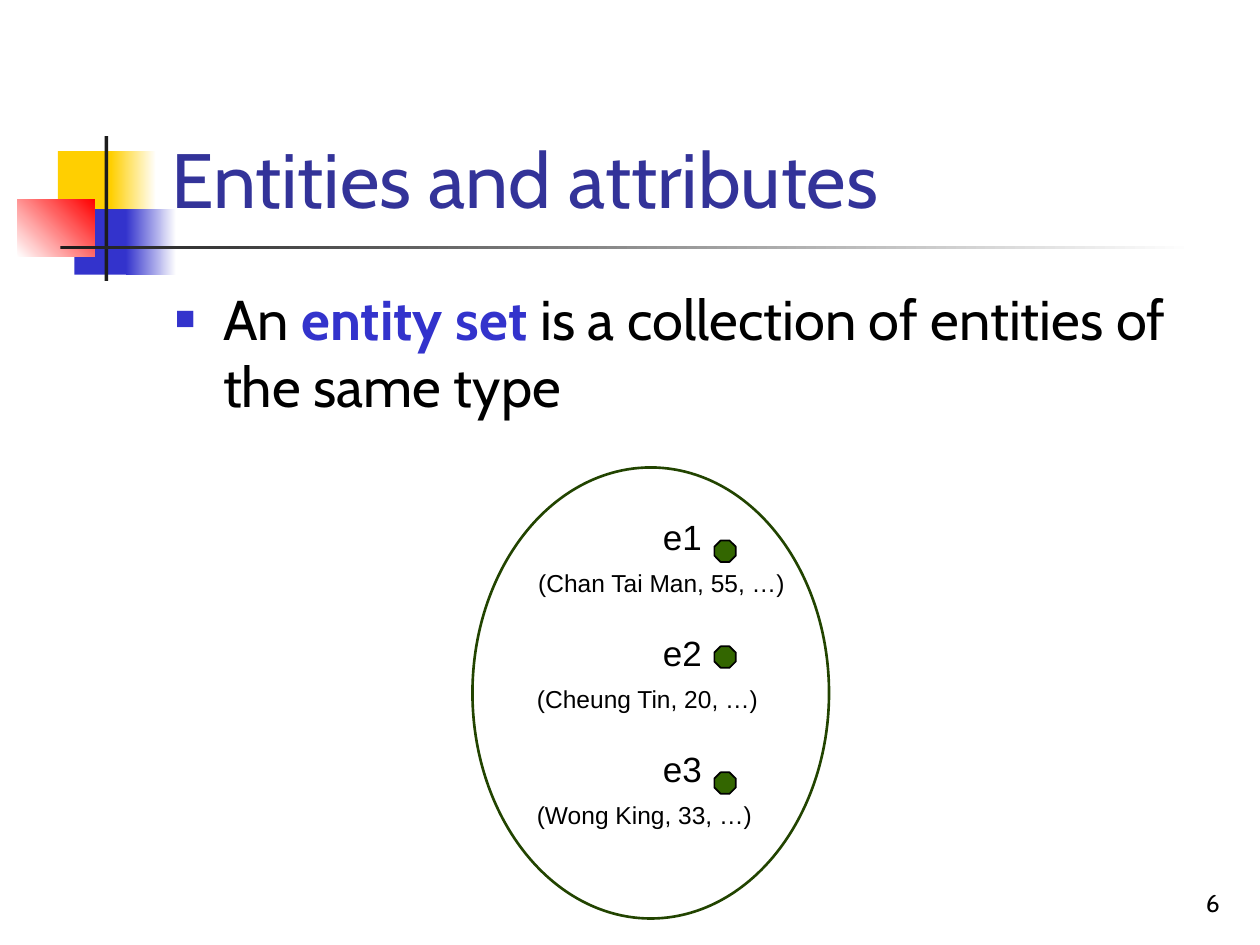
import dataclasses

import pptx
import pptx.dml.color
import pptx.enum.shapes
import pptx.enum.text
import pptx.oxml
import pptx.oxml.ns
import pptx.util
from pptx.util import Inches

Shape = pptx.enum.shapes.MSO_SHAPE
Align = pptx.enum.text.PP_ALIGN
Anchor = pptx.enum.text.MSO_ANCHOR
AutoSize = pptx.enum.text.MSO_AUTO_SIZE

BLACK, WHITE, BLUE = "000000", "FFFFFF", "3333CC"
YELLOW, RED, CHARCOAL = "FFCF01", "FF0000", "1C1C1C"


@dataclasses.dataclass
class Block:
    left: float
    top: float
    width: float
    height: float
    start: str
    end: str = ""  # a second colour makes a gradient
    angle: float = 0


@dataclasses.dataclass
class Entity:
    name: str
    values: str
    values_width: float
    dot_top: float


DECORATION = [
    Block(0.46, 1.2, 0.48, 0.52, YELLOW),
    Block(0.88, 1.2, 0.36, 0.52, YELLOW, WHITE),
    Block(0.59, 1.66, 0.46, 0.52, BLUE),
    Block(1, 1.66, 0.4, 0.52, BLUE, WHITE),
    Block(0.14, 1.58, 0.61, 0.46, WHITE, RED, 45),
    Block(0.83, 1.08, 0.03, 1.15, CHARCOAL),
    Block(0.48, 1.95, 9, 0.03, CHARCOAL, WHITE),
]
ENTITIES = [
    Entity("e1", "(Chan Tai Man, 55, …)", 2.18, 4.29),
    Entity("e2", "(Cheung Tin, 20, …)", 1.96, 5.13),
    Entity("e3", "(Wong King, 33, …)", 1.91, 6.13),
]
ENTITY_TOP, ENTITY_PITCH = 4.04, 0.92


def color(value: str) -> pptx.dml.color.RGBColor:
    return pptx.dml.color.RGBColor.from_string(value)


def place(shape, left: float, top: float, width: float, height: float) -> None:
    shape.left, shape.top = Inches(left), Inches(top)
    shape.width, shape.height = Inches(width), Inches(height)


def style_font(font, name: str, size: float, value: str) -> None:
    font.name, font.size = name, pptx.util.Pt(size)
    font.color.rgb = color(value)


def add_block(shapes, block: Block) -> None:
    shape = shapes.add_shape(Shape.RECTANGLE, 0, 0, 0, 0)
    place(shape, block.left, block.top, block.width, block.height)
    shape.shadow.inherit = False
    shape.line.fill.background()
    if not block.end:
        shape.fill.solid()
        shape.fill.fore_color.rgb = color(block.start)
        return
    shape.fill.gradient()
    shape.fill.gradient_angle = block.angle
    for stop, value in zip(shape.fill.gradient_stops, (block.start, block.end)):
        stop.color.rgb = color(value)


def add_outlined(shapes, kind, box: tuple, line: str, weight: float, fill: str = "") -> None:
    shape = shapes.add_shape(kind, *map(Inches, box))
    shape.shadow.inherit = False
    shape.line.color.rgb = color(line)
    shape.line.width = pptx.util.Pt(weight)
    if fill:
        shape.fill.solid()
        shape.fill.fore_color.rgb = color(fill)
    else:
        shape.fill.background()


def add_label(shapes, text: str, box: tuple, size: float, font: str = "Arial",
              align=Align.CENTER, anchor=Anchor.TOP, wrap: bool = False) -> None:
    frame = shapes.add_textbox(*map(Inches, box)).text_frame
    frame.word_wrap = wrap
    frame.vertical_anchor = anchor
    paragraph = frame.paragraphs[0]
    paragraph.text = text
    paragraph.alignment = align
    style_font(paragraph.font, font, size, BLACK)


def set_bullet(paragraph, character: str, value: str, percent: int, indent: float) -> None:
    properties = paragraph._p.get_or_add_pPr()
    properties.set("marL", str(Inches(indent)))
    properties.set("indent", str(-Inches(indent)))
    namespace = pptx.oxml.ns.nsdecls("a")
    for element in (
        f'<a:buClr {namespace}><a:srgbClr val="{value}"/></a:buClr>',
        f'<a:buSzPct {namespace} val="{percent * 1000}"/>',
        f'<a:buFont {namespace} typeface="Arial"/>',
        f'<a:buChar {namespace} char="{character}"/>',
    ):
        properties.append(pptx.oxml.parse_xml(element))


def fill_title(title) -> None:
    place(title, 1.26, 0.23, 8.52, 1.6)
    frame = title.text_frame
    frame.text = "Entities and attributes"
    frame.vertical_anchor = Anchor.BOTTOM
    frame.auto_size = AutoSize.NONE
    paragraph = frame.paragraphs[0]
    paragraph.alignment = Align.LEFT
    style_font(paragraph.font, "Cabin", 44, "333399")


def fill_body(body) -> None:
    place(body, 1.29, 2.21, 8.5, 4.5)
    frame = body.text_frame
    frame.auto_size = AutoSize.NONE
    paragraph = frame.paragraphs[0]
    set_bullet(paragraph, "■", BLUE, 60, 0.38)
    paragraph.space_before = pptx.util.Pt(0)
    style_font(paragraph.font, "Cabin", 32, BLACK)
    paragraph.add_run().text = "An "
    term = paragraph.add_run()
    term.text = "entity set"
    term.font.bold = True
    term.font.color.rgb = color(BLUE)
    paragraph.add_run().text = " is a collection of entities of the same type"


def add_entity_set(shapes) -> None:
    group = shapes.add_group_shape().shapes
    add_outlined(group, Shape.OVAL, (3.75, 3.71, 2.83, 3.58), "224400", 1.5)
    for index, entity in enumerate(ENTITIES):
        top = ENTITY_TOP + index * ENTITY_PITCH
        add_outlined(group, Shape.OCTAGON, (5.67, entity.dot_top, 0.17, 0.17),
                     BLACK, 1, "336600")
        add_label(group, entity.name, (5.16, top, 0.51, 0.44), 20)
        add_label(group, entity.values, (4.16, top + 0.42, entity.values_width, 0.34), 14)


def main() -> None:
    presentation = pptx.Presentation()
    presentation.slide_width, presentation.slide_height = Inches(10), Inches(7.5)
    slide = presentation.slides.add_slide(presentation.slide_layouts[1])

    # Title and statement
    fill_title(slide.shapes.title)
    fill_body(slide.placeholders[1])

    # Corner decoration and rule
    for block in DECORATION:
        add_block(slide.shapes, block)

    # Slide number
    add_label(slide.shapes, "6", (7.7, 6.83, 2.08, 0.5), 14, "Cabin",
              Align.RIGHT, Anchor.BOTTOM, True)

    # Entity set diagram
    add_entity_set(slide.shapes)

    presentation.save("out.pptx")


if __name__ == "__main__":
    main()
